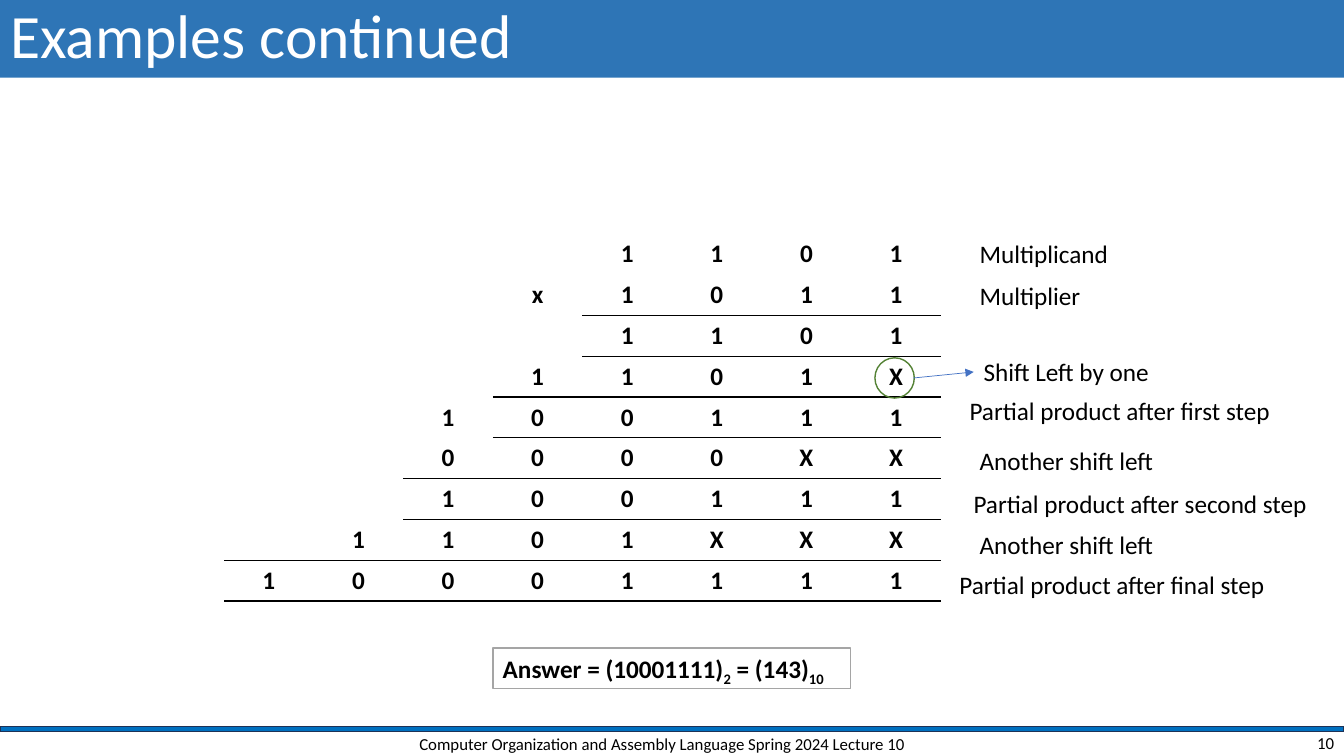
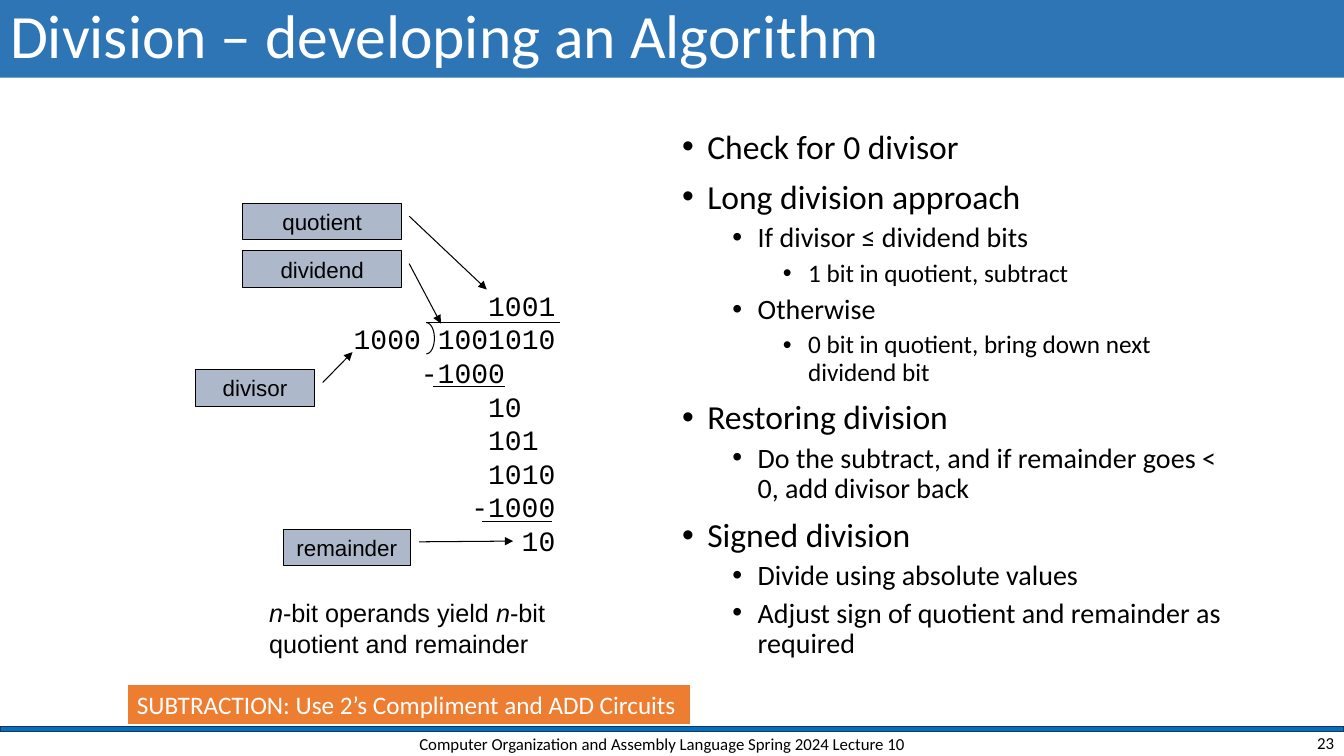
from lxml import etree
from pptx import Presentation
from pptx import util as u
from pptx.dml.color import RGBColor
from pptx.enum import shapes, text
from pptx.oxml.ns import qn

BLACK, WHITE = "000000", "FFFFFF"
BAND_BLUE, BAR_BLUE, BAR_EDGE = "2E75B6", "0070C0", "1E3256"
CALLOUT_GREY, ANSWER_GREY = "ADB9CA", "A5A5A5"
RING_GREEN, ARROW_BLUE, NOTICE_ORANGE = "548235", "4472C4", "ED7D31"
NO_TABLE_STYLE = "{2D5ABB26-0587-4C30-8999-92F81FD0307C}"
COURSE = "Computer Organization and Assembly Language Spring 2024 Lecture 10"
LEFT, CENTER, RIGHT = text.PP_ALIGN.LEFT, text.PP_ALIGN.CENTER, text.PP_ALIGN.RIGHT
TOP, MIDDLE = text.MSO_ANCHOR.TOP, text.MSO_ANCHOR.MIDDLE
PRESET = shapes.MSO_SHAPE
LABEL_HEIGHT = 5.33


def color(hex_code):
    return RGBColor.from_string(hex_code)


def paint(target, hex_code):
    """Fill a shape or cell; None leaves it clear."""
    if hex_code is None:
        target.fill.background()
    else:
        target.fill.solid()
        target.fill.fore_color.rgb = color(hex_code)


def outline(shape, hex_code, width, arrow=False):
    shape.line.color.rgb = color(hex_code)
    shape.line.width = u.Pt(width)
    if arrow:
        line = shape.element.xpath("p:spPr/a:ln")[0]
        etree.SubElement(line, qn("a:tailEnd"), type="triangle")


def indent(para, margin, hanging=0):
    properties = para._p.get_or_add_pPr()
    properties.set("marL", str(int(margin)))
    properties.set("indent", str(-int(hanging)))
    return properties


def rule_cell(cell, side):
    """Draw a black rule on the side "lnT" or "lnB" of a cell."""
    line = etree.SubElement(cell._tc.get_or_add_tcPr(), qn("a:" + side), w=str(u.Pt(1)))
    fill = etree.SubElement(line, qn("a:solidFill"))
    etree.SubElement(fill, qn("a:srgbClr"), val=BLACK)


class SlideMaker:
    """Holds the style and the current slide; lengths are percent of the slide."""

    def __init__(self):
        self.deck = Presentation()
        self.deck.slide_width, self.deck.slide_height = u.Inches(13.33), u.Inches(7.5)
        self.slide = None

    def across(self, share):
        return int(self.deck.slide_width * share / 100)

    def down(self, share):
        return int(self.deck.slide_height * share / 100)

    def area(self, left, top, width, height):
        return self.across(left), self.down(top), self.across(width), self.down(height)

    def style(self, para, size, ink=BLACK, font="Calibri", bold=False, align=LEFT):
        para.alignment = align
        for span in para.runs:
            span.font.size, span.font.name, span.font.bold = u.Pt(size), font, bold
            span.font.color.rgb = color(ink)

    def set_text(self, shape, spans, size=18, anchor=TOP, **look):
        """Set one paragraph: plain text or (text, mark) pairs."""
        frame = shape.text_frame
        frame.word_wrap, frame.vertical_anchor = True, anchor
        para = frame.paragraphs[0]
        for words, mark in [(spans, "")] if isinstance(spans, str) else spans:
            span = para.add_run()
            span.text = words
            if mark == "italic":
                span.font.italic = True
            elif mark == "sub":
                span.font._element.set("baseline", "-25000")
        self.style(para, size, **look)

    def new_slide(self, title, number, layout):
        self.slide = self.deck.slides.add_slide(self.deck.slide_layouts.get_by_name(layout))
        self.shape(PRESET.RECTANGLE, (0, 96.13, 100, 0.67), BAR_BLUE, BAR_EDGE)
        heading = self.slide.shapes.title
        self.place(heading, (0, 0, 100, 10.27))
        paint(heading, BAND_BLUE)
        self.set_text(heading, title, 44, MIDDLE, ink=WHITE)
        heading.text_frame.paragraphs[0].line_spacing = 0.9
        self.label((29.4, 96.53, 39.75, 3.73), COURSE, size=12, anchor=MIDDLE, align=CENTER)
        self.label((77.5, 96.53, 22.5, 3.33), str(number), size=12, anchor=MIDDLE, align=RIGHT)

    def place(self, holder, area):
        holder.left, holder.top, holder.width, holder.height = self.area(*area)
        holder.text_frame.auto_size = text.MSO_AUTO_SIZE.NONE

    def shape(self, preset, area, fill, edge, width=1, arrow=False):
        shape = self.slide.shapes.add_shape(preset, *self.area(*area))
        shape.shadow.inherit = False
        paint(shape, fill)
        outline(shape, edge, width, arrow)
        return shape

    def label(self, area, spans, **look):
        box = self.slide.shapes.add_textbox(*self.area(*area))
        self.set_text(box, spans, **look)

    def line(self, start, end, ink=BLACK, width=0.75, arrow=False):
        connector = self.slide.shapes.add_connector(
            shapes.MSO_CONNECTOR.STRAIGHT, self.across(start[0]), self.down(start[1]),
            self.across(end[0]), self.down(end[1]))
        outline(connector, ink, width, arrow)
        etree.SubElement(connector.element.spPr, qn("a:effectLst"))

    def callout(self, area, words, pointer):
        shape = self.shape(PRESET.LINE_CALLOUT_1, area, CALLOUT_GREY, BLACK, 0.75, arrow=True)
        for index, value in enumerate(pointer):
            shape.adjustments[index] = value
        self.set_text(shape, words, 16, MIDDLE, font="Arial", align=CENTER)

    def bullets(self, area, items):
        holder = self.slide.placeholders[1]
        self.place(holder, area)
        frame = holder.text_frame
        frame.text = "\n".join(words for _, words in items)
        for para, (level, _) in zip(frame.paragraphs, items):
            para.level, para.line_spacing = level, 0.9
            para.space_before = u.Pt(5 if level else 10)
            self.style(para, (24, 20, 18)[level])
            properties = indent(para, u.Inches(0.25 + 0.5 * level), u.Inches(0.25))
            etree.SubElement(properties, qn("a:buFont"), typeface="Arial")
            etree.SubElement(properties, qn("a:buChar"), char="•")

    def long_division(self, area, rows, size=20):
        """Set rows of digits in a fixed-width font, each moved in by whole digits."""
        frame = self.slide.shapes.add_textbox(*self.area(*area)).text_frame
        frame.word_wrap = True
        frame.text = "\n".join(digits for _, digits in rows)
        for para, (columns, _) in zip(frame.paragraphs, rows):
            self.style(para, size, font="Courier New")
            indent(para, columns * u.Pt(size * 0.6))

    def digit_table(self, area, rows, columns):
        """Align digits right; each row gives how many cells are ruled below."""
        frame = self.slide.shapes.add_table(len(rows), columns, *self.area(*area))
        frame.element.xpath(".//a:tableStyleId")[0].text = NO_TABLE_STYLE
        table = frame.table
        table.first_row = table.horz_banding = False
        ruled_above = 0
        for row, (digits, ruled_below) in enumerate(rows):
            for column, digit in enumerate(digits.rjust(columns)):
                cell = table.cell(row, column)
                cell.text = digit.strip()
                para = cell.text_frame.paragraphs[0]
                para.font.size = u.Pt(18)
                self.style(para, 18, bold=True, align=CENTER)
                for side, ruled in (("lnT", ruled_above), ("lnB", ruled_below)):
                    if column >= columns - ruled:
                        rule_cell(cell, side)
                paint(cell, None)
            ruled_above = ruled_below


def multiplication_slide(maker):
    maker.new_slide("Examples continued", 10, "Title Only")
    maker.digit_table((16.67, 30.93, 53.33, 48.6), [
        ("1101", 0), ("x1011", 4), ("1101", 0), ("1101X", 5), ("100111", 0),
        ("0000XX", 6), ("100111", 0), ("1101XXX", 8), ("10001111", 8)], 8)
    for left, top, words in [
            (72.15, 30.93, "Multiplicand"),
            (72.15, 36.4, "Multiplier"),
            (72.45, 46.53, "Shift Left by one"),
            (71.4, 51.6, "Partial product after first step"),
            (72.15, 58.27, "Another shift left"),
            (71.7, 63.87, "Partial product after second step"),
            (72.15, 69.33, "Another shift left"),
            (70.65, 74.67, "Partial product after final step")]:
        maker.label((left, top, 27, LABEL_HEIGHT), words)
    answer = maker.shape(PRESET.RECTANGLE, (36.67, 85.73, 26.63, LABEL_HEIGHT),
                         WHITE, ANSWER_GREY)
    maker.set_text(answer, [("Answer = (10001111)", ""), ("2", "sub"),
                            (" = (143)", ""), ("10", "sub")], bold=True)
    maker.shape(PRESET.OVAL, (65.1, 47.33, 2.93, LABEL_HEIGHT), None, RING_GREEN)
    maker.line((67.95, 50), (72.45, 49.2), ARROW_BLUE, 0.5, arrow=True)


def division_slide(maker):
    maker.new_slide("Division – developing an Algorithm", 23, "Title and Content")
    maker.bullets((50, 16.53, 42.7, 74.53), [
        (0, "Check for 0 divisor"),
        (0, "Long division approach"),
        (1, "If divisor ≤ dividend bits"),
        (2, "1 bit in quotient, subtract"),
        (1, "Otherwise"),
        (2, "0 bit in quotient, bring down next dividend bit"),
        (0, "Restoring division"),
        (1, "Do the subtract, and if remainder goes < 0, add divisor back"),
        (0, "Signed division"),
        (1, "Divide using absolute values"),
        (1, "Adjust sign of quotient and remainder as required")])
    maker.long_division((25.58, 37.47, 17, 36.93), [
        (8, "1001"), (0, "1000 1001010"), (4, "-1000"), (8, "10"),
        (8, "101"), (8, "1010"), (7, "-1000"), (10, "10")])
    for left, right, height in [(31.73, 41.7, 42.67), (32.25, 37.58, 51.07),
                                (35.85, 41.1, 68.93)]:
        maker.line((left, height), (right, height))
    bracket = maker.shape(PRESET.ARC, (31.13, 42.67, 1.2, 4.13), None, BLACK, 0.75)
    bracket.adjustments[0], bracket.adjustments[1] = 162, 54
    for area, words, pointer in [
            ((18.08, 26.93, 11.78, 4.8), "quotient", (0.35, 1.05, 2.37, 1.54)),
            ((18.08, 33.2, 11.78, 4.8), "dividend", (0.35, 1.05, 2, 1.25)),
            ((21.08, 70, 9.45, 4.8), "remainder", (0.35, 1.07, 0.33, 1.81)),
            ((14.55, 48.93, 8.85, 4.8), "divisor", (0.35, 1.07, -0.49, 1.32))]:
        maker.callout(area, words, pointer)
    maker.label((19.28, 78.4, 23, 9.33), [
        ("n", "italic"), ("-bit operands yield ", ""), ("n", "italic"),
        ("-bit quotient and remainder", "")], font="Arial")
    notice = maker.shape(PRESET.RECTANGLE, (9.45, 90.53, 42, LABEL_HEIGHT),
                         NOTICE_ORANGE, WHITE, 1.5)
    maker.set_text(notice, "SUBTRACTION: Use 2’s Compliment and ADD Circuits", ink=WHITE)


def main():
    maker = SlideMaker()
    multiplication_slide(maker)
    division_slide(maker)
    maker.deck.save("out.pptx")


if __name__ == "__main__":
    main()
